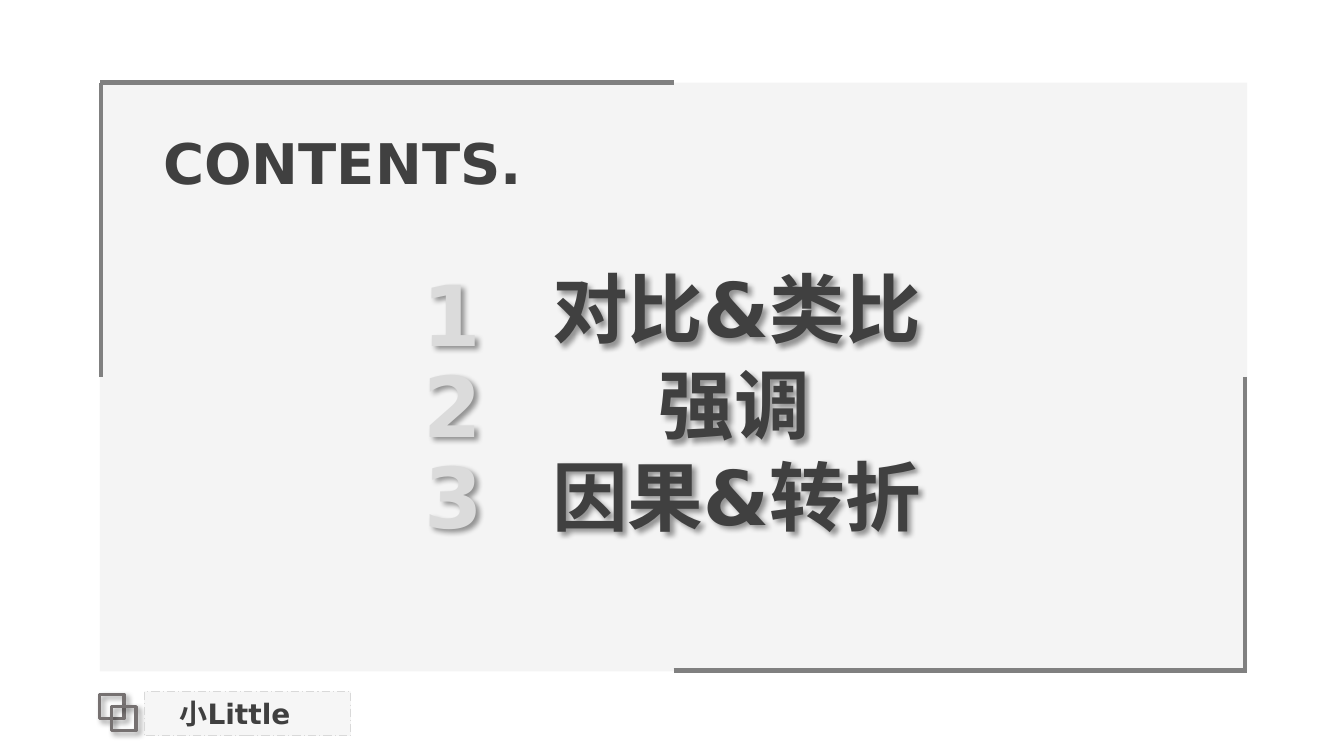
from lxml import etree
from pptx import Presentation
from pptx.dml.color import RGBColor
from pptx.enum.dml import MSO_LINE
from pptx.enum.shapes import MSO_CONNECTOR, MSO_SHAPE
from pptx.enum.text import MSO_ANCHOR, MSO_AUTO_SIZE, PP_ALIGN
from pptx.oxml import parse_xml
from pptx.oxml.ns import nsdecls, qn
from pptx.util import Inches, Pt

FONT = "DejaVu Sans"
DARK, GREY, PALE, PANEL = "404040", "808080", "DBDBDB", "F2F2F2"
PANEL_LEFT, PANEL_TOP, PANEL_WIDTH, PANEL_HEIGHT = 0.99, 0.82, 11.38, 5.84
NUMBER_TOP, ROW_PITCH = 2.55, 0.905
# Topic, left edge and offset of the topic from the top of its row
TOPICS = [("对比&类比", 4.82, 0), ("强调", 4.80, 0.05), ("因果&转折", 4.82, 0.05)]


def colour(hex_value):
    return RGBColor.from_string(hex_value)


def set_shadow(shape, visible):
    """Give a soft lower-right shadow, or none at all."""
    props = shape._element.spPr
    for old in props.findall(qn("a:effectLst")):
        props.remove(old)
    effects = parse_xml(f"<a:effectLst {nsdecls('a')}/>")
    if visible:
        shadow = etree.SubElement(effects, qn("a:outerShdw"), blurRad=str(Pt(4)),
                                  dist=str(Pt(3)), dir="2700000", algn="tl", rotWithShape="0")
        black = etree.SubElement(shadow, qn("a:srgbClr"), val="000000")
        etree.SubElement(black, qn("a:alpha"), val="40000")
    props.append(effects)


def add_box(slide, left, top, width, height, fill=None, opacity=100,
            line=None, weight=1, dash=None, shadow=False):
    box = slide.shapes.add_shape(MSO_SHAPE.RECTANGLE, Inches(left), Inches(top),
                                 Inches(width), Inches(height))
    if fill:
        box.fill.solid()
        box.fill.fore_color.rgb = colour(fill)
        tint = box._element.spPr.find(qn("a:solidFill"))[0]
        etree.SubElement(tint, qn("a:alpha"), val=str(opacity * 1000))
    else:
        box.fill.background()
    if line:
        box.line.color.rgb = colour(line)
        box.line.width = Pt(weight)
        if dash:
            box.line.dash_style = dash
    else:
        box.line.fill.background()
    set_shadow(box, shadow)
    return box


def add_edge(slide, x1, y1, x2, y2):
    edge = slide.shapes.add_connector(MSO_CONNECTOR.STRAIGHT, Inches(x1), Inches(y1),
                                      Inches(x2), Inches(y2))
    edge.line.color.rgb = colour(GREY)
    edge.line.width = Pt(3.25)
    set_shadow(edge, False)


def write(shape, text, size, ink=DARK, align=PP_ALIGN.LEFT, wrap=True,
          anchor=MSO_ANCHOR.TOP, inset=0.1):
    frame = shape.text_frame
    frame.word_wrap = wrap
    frame.auto_size = MSO_AUTO_SIZE.NONE
    frame.vertical_anchor = anchor
    frame.margin_left = Inches(inset)
    paragraph = frame.paragraphs[0]
    paragraph.alignment = align
    run = paragraph.add_run()
    run.text = text
    run.font.size = Pt(size)
    run.font.bold = True
    run.font.name = FONT
    run.font.color.rgb = colour(ink)
    etree.SubElement(run.font._element, qn("a:ea"), typeface=FONT)


def add_label(slide, left, top, width, height, text, **style):
    label = slide.shapes.add_textbox(Inches(left), Inches(top), Inches(width), Inches(height))
    write(label, text, align=PP_ALIGN.CENTER, **style)
    set_shadow(label, True)


def add_name_tag(slide):
    for step in range(2):
        add_box(slide, 0.99 + 0.12 * step, 6.89 + 0.12 * step, 0.24, 0.24,
                line="767171", weight=2.25, shadow=True)
    tag = add_box(slide, 1.43, 6.86, 2.05, 0.44, fill=PANEL, opacity=63,
                  line="D9D9D9", weight=0.75, dash=MSO_LINE.LONG_DASH_DOT)
    write(tag, "小Little", 20, inset=0.35)


def add_panel(slide):
    """Draw the pale panel with half-length edges at two opposite corners."""
    add_box(slide, PANEL_LEFT, PANEL_TOP, PANEL_WIDTH, PANEL_HEIGHT, fill=PANEL, opacity=79)
    right, bottom = PANEL_LEFT + PANEL_WIDTH, PANEL_TOP + PANEL_HEIGHT - 0.01
    middle_x, middle_y = PANEL_LEFT + PANEL_WIDTH / 2, PANEL_TOP + PANEL_HEIGHT / 2
    add_edge(slide, PANEL_LEFT + 0.01, middle_y, PANEL_LEFT + 0.01, PANEL_TOP)
    add_edge(slide, middle_x, PANEL_TOP, PANEL_LEFT, PANEL_TOP)
    add_edge(slide, right - 0.02, middle_y, right - 0.02, bottom)
    add_edge(slide, middle_x, bottom, right, bottom)


def add_heading(slide):
    heading = slide.shapes.title
    heading.left, heading.top = Inches(1.52), Inches(1.22)
    heading.width, heading.height = Inches(4.26), Inches(0.77)
    write(heading, "CONTENTS.", 40)
    # Bring the heading in front of the panel
    slide.shapes._spTree.append(heading._element)


def add_topics(slide):
    for index, (topic, left, offset) in enumerate(TOPICS):
        top = NUMBER_TOP + ROW_PITCH * index
        add_label(slide, 4.17 + 0.01 * index, top, 0.63, 1.11, str(index + 1),
                  size=60, ink=PALE, wrap=False)
        add_label(slide, left, top + offset, 4.97, 1.01, topic, size=54)


def main():
    deck = Presentation()
    deck.slide_width, deck.slide_height = Inches(13.33), Inches(7.5)
    slide = deck.slides.add_slide(deck.slide_layouts[5])
    add_name_tag(slide)
    add_panel(slide)
    add_heading(slide)
    add_topics(slide)
    deck.save("out.pptx")


if __name__ == "__main__":
    main()
